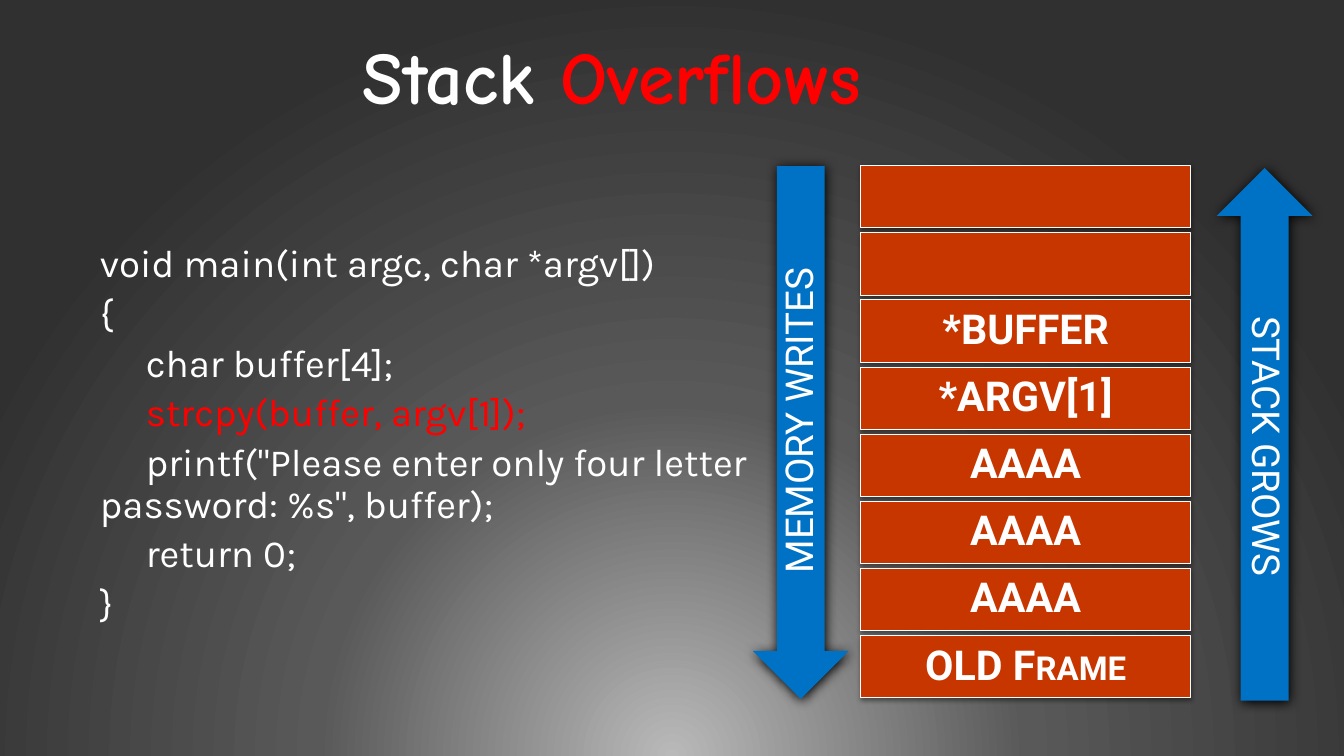
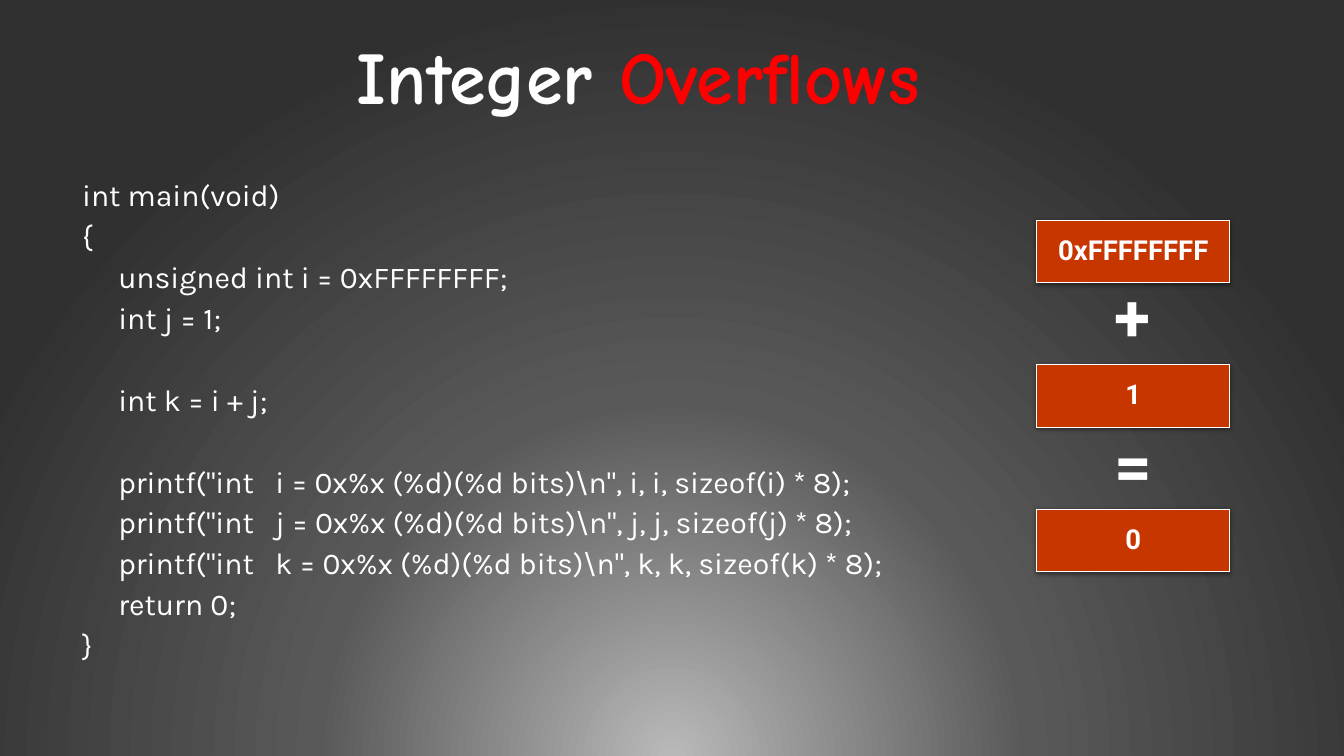
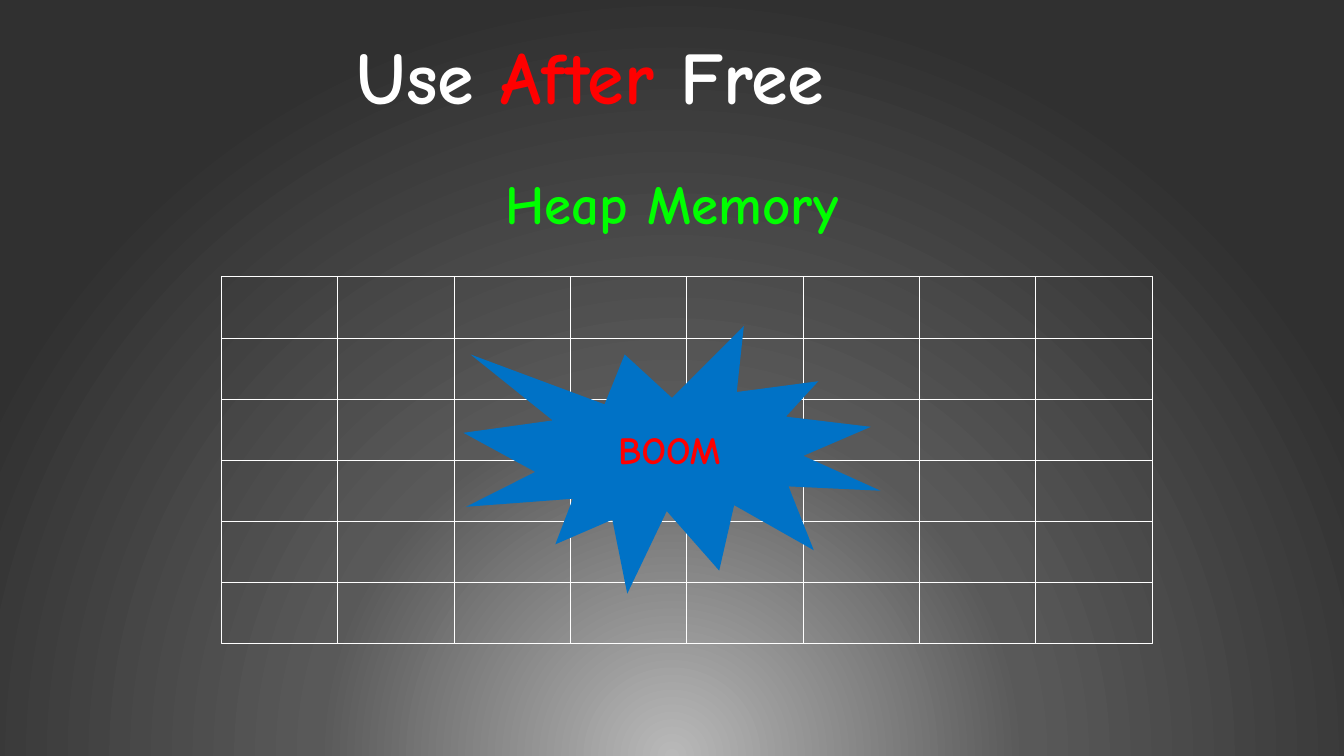
import dataclasses
import pptx
import pptx.dml.color
import pptx.enum.shapes
import pptx.enum.text
import pptx.oxml
import pptx.oxml.ns
import pptx.util

Cm = pptx.util.Cm
Pt = pptx.util.Pt
SHAPES = pptx.enum.shapes.MSO_SHAPE
ALIGN = pptx.enum.text.PP_ALIGN
ANCHOR = pptx.enum.text.MSO_ANCHOR
qn = pptx.oxml.ns.qn


@dataclasses.dataclass(frozen=True)
class Theme:
    white: str = "FFFFFF"
    red: str = "FF0000"
    green: str = "00FF00"
    rust: str = "C83600"
    blue: str = "0072C6"
    shade: str = "000000"
    glow: tuple = ((0, "B9B9B9"), (46, "595959"), (100, "303030"))
    heading: str = "Comic Neue"
    code: str = "Karla"
    label: str = "Roboto"
    title_size: int = 54
    operator_size: int = 48
    subtitle_size: int = 40
    stack_size: int = 30
    small_caps_size: int = 24
    code_size: int = 28
    small_code_size: int = 22
    arrow_size: int = 28
    value_size: int = 20
    cell_shadow: tuple = (45, 3.5, 1.1)
    arrow_shadow: tuple = (100, 8.5, 1)


THEME = Theme()


@dataclasses.dataclass(frozen=True)
class Style:
    font: str
    size: int
    color: str = THEME.white
    bold: bool = False


TITLE = Style(THEME.heading, THEME.title_size, bold=True)
TITLE_RED = dataclasses.replace(TITLE, color=THEME.red)
SUBTITLE = Style(THEME.heading, THEME.subtitle_size, THEME.green, True)
BOOM = Style(THEME.heading, THEME.code_size, THEME.red, True)
CODE = Style(THEME.code, THEME.code_size)
CODE_RED = dataclasses.replace(CODE, color=THEME.red)
SMALL_CODE = Style(THEME.code, THEME.small_code_size)
STACK = Style(THEME.label, THEME.stack_size, bold=True)
SMALL_CAPS = dataclasses.replace(STACK, size=THEME.small_caps_size)
VALUE = dataclasses.replace(STACK, size=THEME.value_size)
OPERATOR = dataclasses.replace(STACK, size=THEME.operator_size)
ARROW = Style(THEME.label, THEME.arrow_size)


def rgb(color):
    return pptx.dml.color.RGBColor.from_string(color)


def set_background(master):
    fill = master.background.fill
    fill.solid()
    solid = next(master.element.iter(qn("a:solidFill")))
    stops = "".join(
        f'<a:gs pos="{position * 1000}"><a:srgbClr val="{color}"/></a:gs>'
        for position, color in THEME.glow)
    glow = pptx.oxml.parse_xml(
        f'<a:gradFill {pptx.oxml.ns.nsdecls("a")} rotWithShape="1">'
        f'<a:gsLst>{stops}</a:gsLst><a:path path="circle">'
        '<a:fillToRect l="50000" t="130000" r="50000" b="-30000"/>'
        '</a:path></a:gradFill>')
    solid.getparent().replace(solid, glow)


def set_insets(frame):
    frame.margin_left = frame.margin_right = Cm(0.51)
    frame.margin_top = frame.margin_bottom = Cm(0.41)
    frame.word_wrap = True


def write(paragraph, runs, align=ALIGN.LEFT, after=0, indent=0):
    paragraph.alignment = align
    paragraph.line_spacing = 0.9
    paragraph.space_after = Pt(after)
    if indent:
        paragraph._p.get_or_add_pPr().set("indent", str(Cm(indent)))
    for text, style in runs:
        run = paragraph.add_run()
        run.text = text
        run.font.name = style.font
        run.font.size = Pt(style.size)
        run.font.bold = style.bold
        run.font.color.rgb = rgb(style.color)


def add_text(slide, box, runs, align=ALIGN.LEFT):
    frame = slide.shapes.add_textbox(*map(Cm, box)).text_frame
    set_insets(frame)
    write(frame.paragraphs[0], runs, align, after=6)


def add_title(slide, left, *runs):
    add_text(slide, (left, 0.64, 17.25, 2.9), runs)


def add_code(slide, box, lines, style, indent, blank=0):
    frame = slide.shapes.add_textbox(*map(Cm, box)).text_frame
    set_insets(frame)
    for number, (depth, text, gap_after) in enumerate(lines):
        paragraph = frame.add_paragraph() if number else frame.paragraphs[0]
        line_style = CODE_RED if text.startswith("strcpy") else style
        write(paragraph, [(text, line_style)], after=6 + blank * gap_after,
              indent=depth * indent)


def add_shadow(shape, opacity, blur, distance):
    effects = shape._element.spPr.find(qn("a:effectLst"))
    effects.append(pptx.oxml.parse_xml(
        f'<a:outerShdw {pptx.oxml.ns.nsdecls("a")} blurRad="{Pt(blur)}" '
        f'dist="{Pt(distance)}" dir="5400000" rotWithShape="0">'
        f'<a:srgbClr val="{THEME.shade}"><a:alpha val="{opacity * 1000}"/>'
        '</a:srgbClr></a:outerShdw>'))


def add_block(slide, kind, box, runs=(), fill=None, outlined=False, shadow=None):
    block = slide.shapes.add_shape(kind, *map(Cm, box))
    block.shadow.inherit = False
    if fill:
        block.fill.solid()
        block.fill.fore_color.rgb = rgb(fill)
    else:
        block.fill.background()
    if outlined:
        block.line.color.rgb = rgb(THEME.white)
        block.line.width = Pt(0.75)
    else:
        block.line.fill.background()
    if shadow:
        add_shadow(block, *shadow)
    frame = block.text_frame
    set_insets(frame)
    frame.vertical_anchor = ANCHOR.MIDDLE
    write(frame.paragraphs[0], runs, ALIGN.CENTER)
    return block


def add_memory_cell(slide, box, runs):
    add_block(slide, SHAPES.RECTANGLE, box, runs, THEME.rust, True,
              THEME.cell_shadow)


def add_arrow(slide, kind, left, top, text, direction):
    arrow = add_block(slide, kind, (left, top, 2.46, 13.69), [(text, ARROW)],
                      THEME.blue, shadow=THEME.arrow_shadow)
    arrow.text_frame._txBody.bodyPr.set("vert", direction)


def build_stack_overflows(slide):
    add_title(slide, 8.81, ("Stack ", TITLE), ("Overflows", TITLE_RED))
    lines = [
        (0, "void main(int argc, char *argv[])", 0),
        (0, "{", 0),
        (1, "char buffer[4];", 0),
        (1, "strcpy(buffer, argv[1]);", 0),
        (1, 'printf("Please enter only four letter password: %s", buffer);', 0),
        (1, "return 0;", 0),
        (0, "}", 0),
    ]
    add_code(slide, (2.06, 5.87, 20.47, 10.72), lines, CODE, 1.18)
    frames = [[], []] + [
        [(text, STACK)]
        for text in ("*BUFFER", "*ARGV[1]", "AAAA", "AAAA", "AAAA")
    ] + [[("OLD F", STACK), ("RAME", SMALL_CAPS)]]
    for row, runs in enumerate(frames):
        add_memory_cell(slide, (22.12, 4.26 + row * 1.725, 8.48, 1.6), runs)
    add_arrow(slide, SHAPES.DOWN_ARROW, 19.35, 4.27, "MEMORY WRITES", "vert270")
    add_arrow(slide, SHAPES.UP_ARROW, 31.27, 4.32, "STACK GROWS", "vert")


def build_integer_overflows(slide):
    add_title(slide, 8.66, ("Integer ", TITLE), ("Overflows", TITLE_RED))
    lines = [
        (0, "int main(void)", 0),
        (0, "{", 0),
        (1, "unsigned int i = 0xFFFFFFFF;", 0),
        (1, "int j = 1;", 1),
        (1, "int k = i + j;", 1),
    ] + [
        (1, f'printf("int   {name} = 0x%x (%d)(%d bits)\\n", '
            f'{name}, {name}, sizeof({name}) * 8);', 0)
        for name in "ijk"
    ] + [(1, "return 0;", 0), (0, "}", 0)]
    add_code(slide, (1.6, 4.24, 23.72, 13.34), lines, SMALL_CODE, 0.93, 29.8)
    for row, value in enumerate(("0xFFFFFFFF", "1", "0")):
        add_memory_cell(slide, (26.65, 5.66 + row * 3.72, 4.95, 1.6),
                        [(value, VALUE)])
    for row, sign in enumerate("+="):
        add_text(slide, (28.13, 6.91 + row * 3.83, 2.08, 2.67),
                 [(sign, OPERATOR)])


def build_use_after_free(slide):
    add_title(slide, 8.66, ("Use ", TITLE), ("After ", TITLE_RED),
              ("Free", TITLE))
    add_text(slide, (12, 4.14, 10.54, 1.83), [("Heap Memory", SUBTITLE)],
             ALIGN.CENTER)
    width, height = 2.99, 1.57
    for row in range(6):
        for column in range(8):
            add_block(slide, SHAPES.RECTANGLE,
                      (5.69 + column * width, 7.12 + row * height,
                       width, height), outlined=True)
    add_block(slide, SHAPES.EXPLOSION1, (11.91, 8.38, 10.72, 6.88),
              [("BOOM", BOOM)], THEME.blue)


def main():
    deck = pptx.Presentation()
    deck.slide_width = Cm(34.54)
    deck.slide_height = Cm(19.43)
    set_background(deck.slide_master)
    for build in (build_stack_overflows, build_integer_overflows,
                  build_use_after_free):
        build(deck.slides.add_slide(deck.slide_layouts[6]))
    deck.save("out.pptx")


main()
